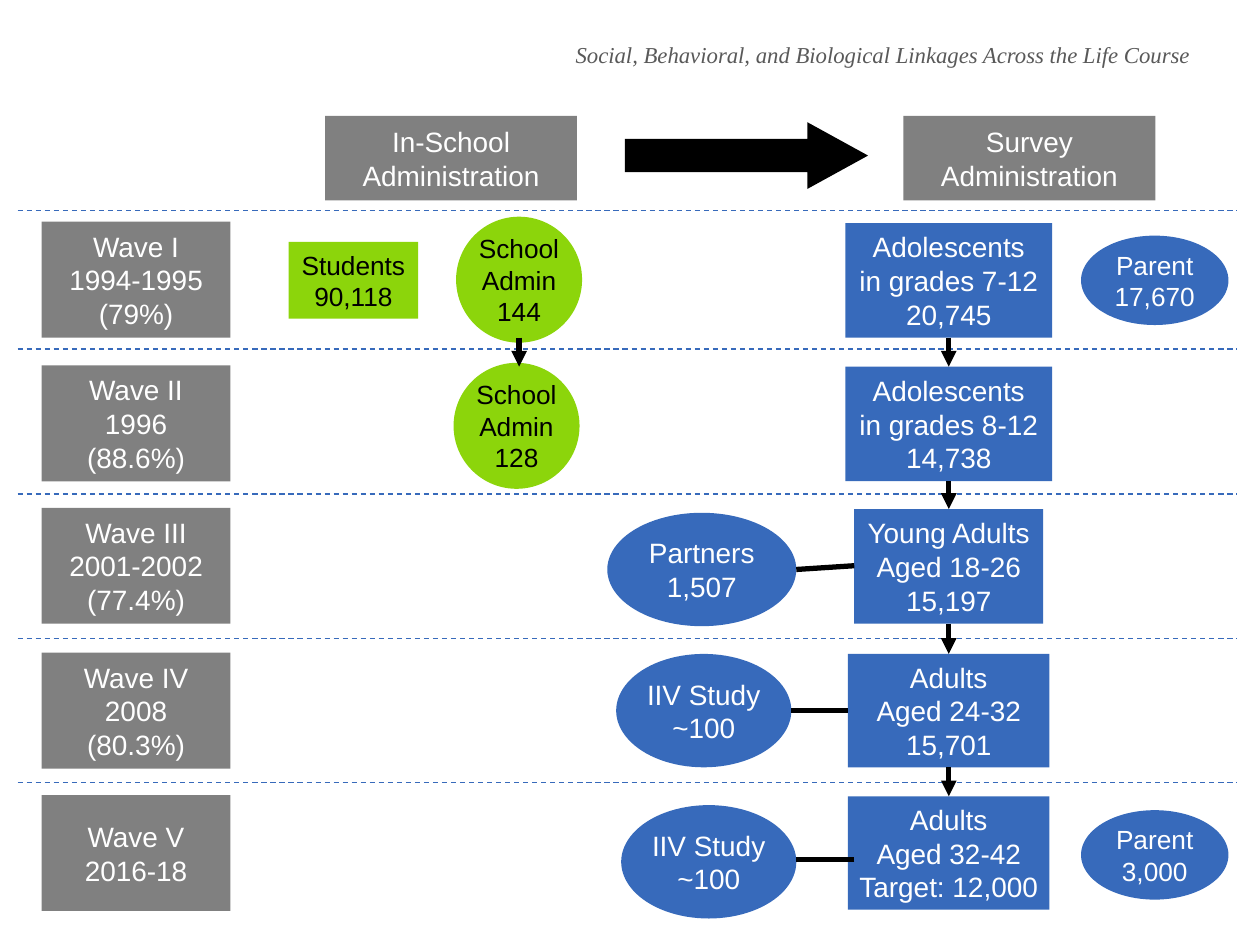
"""Build the slide charting the five study waves and who was surveyed in each."""
import dataclasses
import typing

import lxml.etree
import pptx
import pptx.dml.color
import pptx.enum.dml
import pptx.enum.shapes
import pptx.enum.text
import pptx.oxml.ns
import pptx.util

PX = 9144
GRAY = pptx.dml.color.RGBColor(0x80, 0x80, 0x80)
GREEN = pptx.dml.color.RGBColor(0x8C, 0xD5, 0x0B)
BLUE = pptx.dml.color.RGBColor(0x37, 0x6A, 0xBB)
BLACK = pptx.dml.color.RGBColor(0, 0, 0)
WHITE = pptx.dml.color.RGBColor(0xFF, 0xFF, 0xFF)
TITLE_GRAY = pptx.dml.color.RGBColor(0x59, 0x59, 0x59)
RECTANGLE = pptx.enum.shapes.MSO_SHAPE.RECTANGLE
OVAL = pptx.enum.shapes.MSO_SHAPE.OVAL
RIGHT_ARROW = pptx.enum.shapes.MSO_SHAPE.RIGHT_ARROW


@dataclasses.dataclass(frozen=True)
class Node:
    text: str
    left: int
    top: int
    width: int
    height: int
    fill: pptx.dml.color.RGBColor = BLUE
    kind: pptx.enum.shapes.MSO_SHAPE = RECTANGLE
    size: int = 16


@dataclasses.dataclass(frozen=True)
class Link:
    start: tuple[int, int]
    end: tuple[int, int]
    color: pptx.dml.color.RGBColor = BLACK
    weight: float = 3
    dashed: bool = False
    arrow: bool = False


HEADERS = [
    Node("In-School\nAdministration", 258, 92, 200, 67, GRAY),
    Node("Survey\nAdministration", 717, 92, 200, 67, GRAY),
]
WAVES = [
    Node(text, 33, top, 150, 92, GRAY)
    for text, top in [
        ("Wave I\n1994-1995\n(79%)", 176),
        ("Wave II\n1996\n(88.6%)", 290),
        ("Wave III\n2001-2002\n(77.4%)", 403),
        ("Wave IV\n2008\n(80.3%)", 518),
        ("Wave V\n2016-18", 631),
    ]
]
SCHOOL_SURVEYS = [
    Node("Students\n90,118", 229, 192, 103, 61, GREEN, size=15),
    Node("School\nAdmin\n144", 362, 172, 100, 100, GREEN, OVAL, 15),
    Node("School\nAdmin\n128", 360, 288, 100, 100, GREEN, OVAL, 15),
]
RESPONDENTS = [
    Node("Adolescents\nin grades 7-12\n20,745", 671, 177, 164, 91),
    Node("Adolescents\nin grades 8-12\n14,738", 671, 291, 164, 91),
    Node("Young Adults\nAged 18-26\n15,197", 678, 404, 150, 91),
    Node("Adults\nAged 24-32\n15,701", 673, 519, 160, 90),
    Node("Adults\nAged 32-42\nTarget: 12,000", 673, 632, 160, 90),
]
RELATED_SURVEYS = [
    Node("Parent\n17,670", 858, 187, 117, 71, kind=OVAL, size=15),
    Node("Partners\n1,507", 482, 407, 150, 90, kind=OVAL),
    Node("IIV Study\n~100", 489, 519, 139, 90, kind=OVAL),
    Node("IIV Study\n~100", 493, 639, 139, 90, kind=OVAL),
    Node("Parent\n3,000", 858, 643, 117, 71, kind=OVAL, size=15),
]
DIVIDERS = [
    Link((14, y), (982, y), BLUE, 0.75, dashed=True)
    for y in (167, 277, 392, 507, 621)
]
FOLLOW_UPS = [
    Link((753, upper.top + upper.height), (753, lower.top), arrow=True)
    for upper, lower in zip(RESPONDENTS, RESPONDENTS[1:])
] + [Link((412, 268), (412, 291), arrow=True)]
SIDE_LINKS = [
    Link((678, 449), (632, 452)),
    Link((673, 564), (628, 564)),
    Link((678, 682), (632, 682)),
]


def px(length: int) -> int:
    """Turn pixels into EMU."""
    return length * PX


def draw_node(page: typing.Any, node: Node) -> typing.Any:
    """Draw one filled shape with centred lines of text."""
    shape = page.shapes.add_shape(
        node.kind, px(node.left), px(node.top), px(node.width), px(node.height)
    )
    shape.shadow.inherit = False
    shape.fill.solid()
    shape.fill.fore_color.rgb = node.fill
    shape.line.fill.background()
    if node.text:
        frame = shape.text_frame
        frame.word_wrap = False
        frame.vertical_anchor = pptx.enum.text.MSO_ANCHOR.MIDDLE
        frame.text = node.text
        for para in frame.paragraphs:
            para.alignment = pptx.enum.text.PP_ALIGN.CENTER
            para.font.name = "Arial"
            para.font.size = pptx.util.Pt(node.size)
            para.font.color.rgb = BLACK if node.fill == GREEN else WHITE
    return shape


def draw_link(page: typing.Any, link: Link) -> None:
    """Draw one straight line, dashed or with an arrowhead where asked."""
    connector = page.shapes.add_connector(
        pptx.enum.shapes.MSO_CONNECTOR.STRAIGHT,
        *map(px, link.start + link.end),
    )
    connector.line.color.rgb = link.color
    connector.line.width = pptx.util.Pt(link.weight)
    if link.dashed:
        connector.line.dash_style = pptx.enum.dml.MSO_LINE.DASH
    properties = connector.element.spPr
    if link.arrow:
        outline = properties.find(pptx.oxml.ns.qn("a:ln"))
        lxml.etree.SubElement(
            outline, pptx.oxml.ns.qn("a:tailEnd"), type="triangle"
        )
    lxml.etree.SubElement(properties, pptx.oxml.ns.qn("a:effectLst"))


def draw_title(page: typing.Any) -> None:
    """Write the italic running title at the top right."""
    box = page.shapes.add_textbox(px(447), px(27), px(513), px(32))
    box.text_frame.word_wrap = False
    para = box.text_frame.paragraphs[0]
    para.text = "Social, Behavioral, and Biological Linkages Across the Life Course"
    para.font.name = "Times New Roman"
    para.font.size = pptx.util.Pt(13)
    para.font.italic = True
    para.font.color.rgb = TITLE_GRAY


def main() -> None:
    """Assemble and save the deck."""
    deck = pptx.Presentation()
    deck.slide_width, deck.slide_height = px(1000), px(750)
    page = deck.slides.add_slide(deck.slide_layouts[6])
    draw_title(page)
    for divider in DIVIDERS:
        draw_link(page, divider)
    for node in HEADERS + WAVES + SCHOOL_SURVEYS + RESPONDENTS + RELATED_SURVEYS:
        draw_node(page, node)
    arrow = draw_node(page, Node("", 496, 97, 193, 53, BLACK, RIGHT_ARROW))
    arrow.adjustments[1] = 0.91
    for link in FOLLOW_UPS + SIDE_LINKS:
        draw_link(page, link)
    deck.save("out.pptx")


if __name__ == "__main__":
    main()
